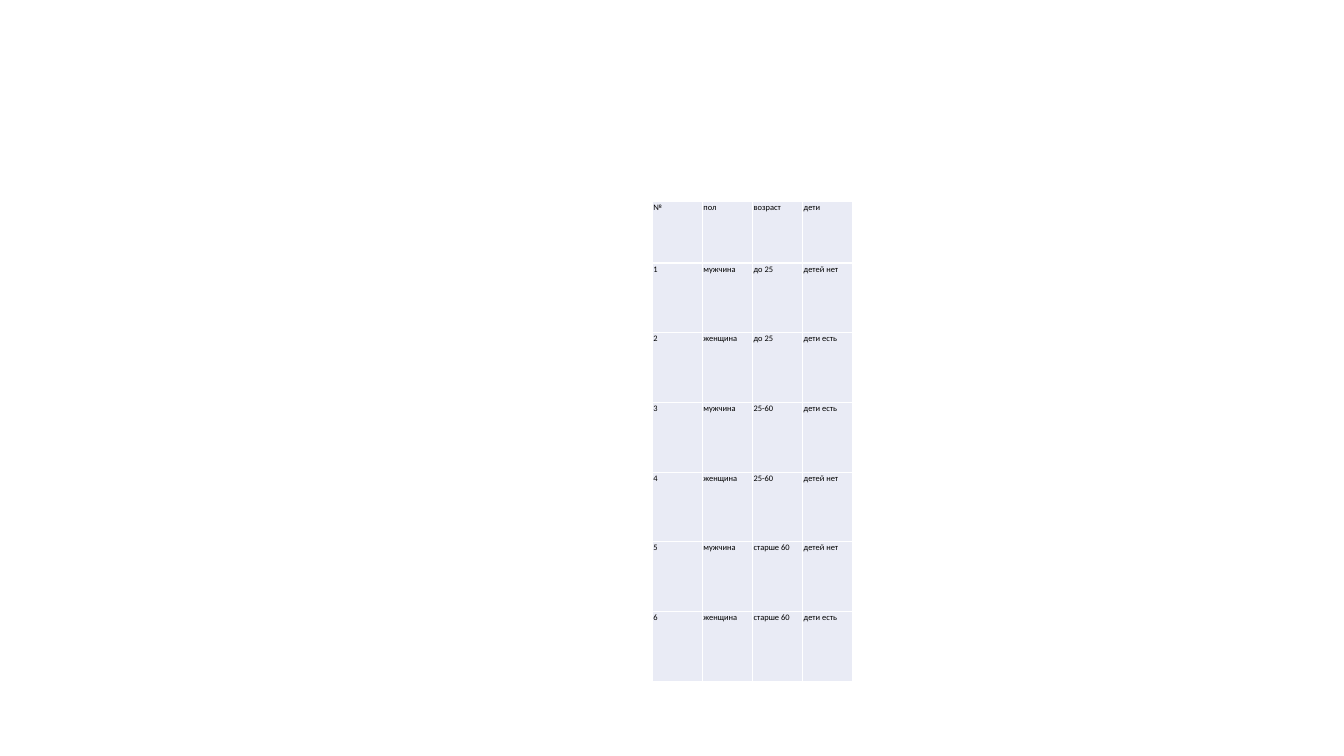
from dataclasses import dataclass

from lxml.etree import SubElement
from pptx import Presentation
from pptx.dml.color import RGBColor
from pptx.oxml.ns import qn
from pptx.util import Inches, Pt


@dataclass(frozen=True)
class Theme:
    font: str = "Calibri"
    size: float = 6
    ink: str = "000000"
    fill: str = "E9EBF5"
    rule: str = "FFFFFF"
    width: float = 1


THEME = Theme()

HEAD = ("№", "пол", "возраст", "дети")
GROUPS = (
    ("мужчина", "до 25", "детей нет"),
    ("женщина", "до 25", "дети есть"),
    ("мужчина", "25-60", "дети есть"),
    ("женщина", "25-60", "детей нет"),
    ("мужчина", "старше 60", "детей нет"),
    ("женщина", "старше 60", "дети есть"),
)


def add_rules(cell):
    """Draw the four borders of a cell."""
    props = cell._tc.get_or_add_tcPr()
    for side in ("a:lnL", "a:lnR", "a:lnT", "a:lnB"):
        line = SubElement(props, qn(side), w=str(Pt(THEME.width)))
        fill = SubElement(line, qn("a:solidFill"))
        SubElement(fill, qn("a:srgbClr"), val=THEME.rule)


def fill_cell(cell, text):
    """Set the borders, fill, margins and text of a cell."""
    add_rules(cell)
    cell.fill.solid()
    cell.fill.fore_color.rgb = RGBColor.from_string(THEME.fill)
    cell.margin_left = cell.margin_right = Inches(0.01)
    cell.margin_top = cell.margin_bottom = Inches(0.01)
    run = cell.text_frame.paragraphs[0].add_run()
    run.text = text
    run.font.name = THEME.font
    run.font.size = Pt(THEME.size)
    run.font.bold = False
    run.font.color.rgb = RGBColor.from_string(THEME.ink)


def add_grid(slide, rows, left, top, width, height, first):
    """Add a table with equal columns and equal rows below the head."""
    count = len(rows[0])
    frame = slide.shapes.add_table(
        len(rows), count, Inches(left), Inches(top), Inches(width), Inches(height)
    )
    table = frame.table
    table.first_row = table.horz_banding = False

    # Column and row sizes
    for col in table.columns:
        col.width = Inches(width / count)
    for row in table.rows:
        row.height = Inches((height - first) / (len(rows) - 1))
    table.rows[0].height = Inches(first)

    # Cell content
    for r, row in enumerate(rows):
        for c, text in enumerate(row):
            fill_cell(table.cell(r, c), text)


def main():
    deck = Presentation()
    deck.slide_width, deck.slide_height = Inches(13.33), Inches(7.5)
    slide = deck.slides.add_slide(deck.slide_layouts[6])

    # Numbered table of groups
    rows = [HEAD] + [(str(n), *group) for n, group in enumerate(GROUPS, 1)]
    add_grid(slide, rows, left=6.47, top=2, width=1.99, height=4.76, first=0.61)

    deck.save("out.pptx")


if __name__ == "__main__":
    main()
